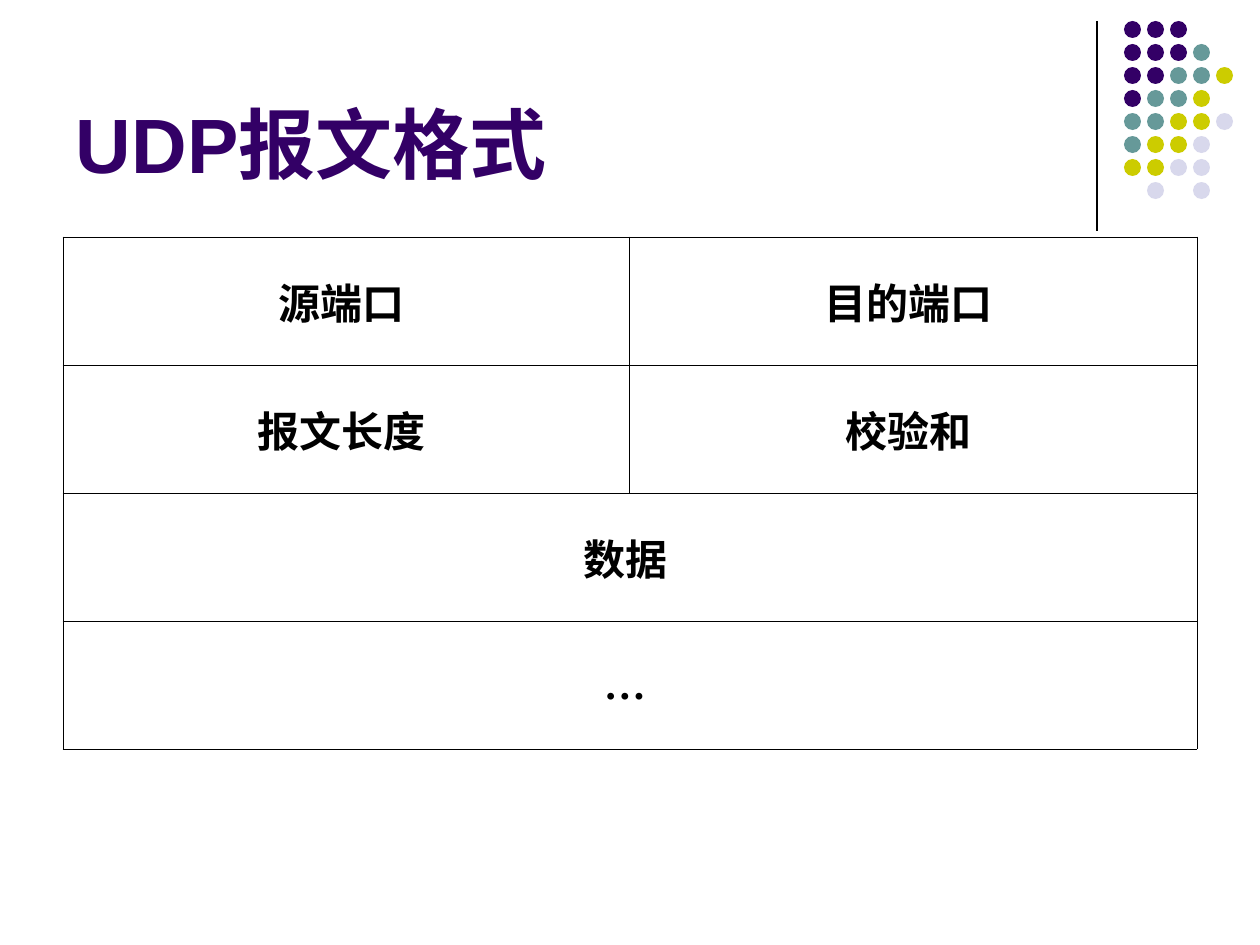
import pptx
import pptx.util
import pptx.dml.color
import pptx.enum.shapes
import pptx.enum.text
import pptx.oxml
import pptx.oxml.ns

EMU_PER_PX = 914400 / 126
INK = "000000"
PURPLE = "330066"
DOT_COLOURS = {"P": PURPLE, "T": "669999", "Y": "CCCC00", "L": "D8D8EC"}
DOT_ROWS = ["PPP", "PPPT", "PPTTY", "PTTY", "TTYYL", "TYYL", "YYLL", " L L"]
UDP_FIELDS = [["源端口 ", "目的端口 "], ["报文长度 ", "校验和 "], ["数据 "], ["… "]]
TITLE_FORMAT = {"name": "Arial", "size": pptx.util.Pt(44), "bold": True}
FIELD_FORMAT = {"name": "Times New Roman", "size": pptx.util.Pt(24), "bold": True}


def px(length):
    return pptx.util.Emu(round(length * EMU_PER_PX))


def colour(code):
    return pptx.dml.color.RGBColor.from_string(code)


def set_all(target, values):
    for attribute, value in values.items():
        setattr(target, attribute, value)


class SlideBuilder:
    def __init__(self, slide):
        self.slide = slide
        self.shapes = slide.shapes
        self.margins = {"margin_top": px(6), "margin_bottom": px(6)}

    def add_words(self, paragraph, words, font_format, ink):
        run = paragraph.add_run()
        run.text = words
        set_all(run.font, font_format)
        run.font.color.rgb = colour(ink)

    def title(self, words, left, top, width, height):
        frame = self.shapes.add_textbox(px(left), px(top), px(width), px(height)).text_frame
        set_all(frame, {**self.margins, "margin_left": px(13), "margin_right": px(13),
                        "word_wrap": True,
                        "vertical_anchor": pptx.enum.text.MSO_ANCHOR.BOTTOM})
        self.add_words(frame.paragraphs[0], words, TITLE_FORMAT, PURPLE)

    def rule(self, x, top, bottom):
        divider = self.shapes.add_connector(
            pptx.enum.shapes.MSO_CONNECTOR.STRAIGHT, px(x), px(top), px(x), px(bottom))
        divider.line.color.rgb = colour(INK)
        divider.line.width = pptx.util.Pt(0.75)
        divider.element.spPr.append(pptx.oxml.parse_xml(
            f'<a:effectLst {pptx.oxml.ns.nsdecls("a")}/>'))

    def dot(self, left, top, size, fill):
        dot = self.shapes.add_shape(
            pptx.enum.shapes.MSO_SHAPE.OVAL, px(left), px(top), px(size), px(size))
        dot.shadow.inherit = False
        dot.fill.solid()
        dot.fill.fore_color.rgb = colour(fill)
        dot.line.fill.background()

    def border(self, cell):
        for side in "LRTB":
            cell._tc.get_or_add_tcPr().append(pptx.oxml.parse_xml(
                f'<a:ln{side} {pptx.oxml.ns.nsdecls("a")} w="5715"><a:solidFill>'
                f'<a:srgbClr val="{INK}"/></a:solidFill></a:ln{side}>'))

    def table(self, rows, left, top, widths, row_height):
        table = self.shapes.add_table(
            len(rows), len(widths), px(left), px(top),
            px(sum(widths)), px(row_height * len(rows))).table
        set_all(table, {"first_row": False, "horz_banding": False})
        for column, width in zip(table.columns, widths):
            column.width = px(width)
        for cell in table.iter_cells():
            self.border(cell)
            cell.fill.background()
        for index, fields in enumerate(rows):
            if len(fields) < len(widths):
                table.cell(index, 0).merge(table.cell(index, len(widths) - 1))
            for position, field in enumerate(fields):
                cell = table.cell(index, position)
                set_all(cell, {**self.margins, "margin_left": px(9), "margin_right": px(9),
                               "vertical_anchor": pptx.enum.text.MSO_ANCHOR.MIDDLE})
                paragraph = cell.text_frame.paragraphs[0]
                paragraph.alignment = pptx.enum.text.PP_ALIGN.CENTER
                self.add_words(paragraph, field, FIELD_FORMAT, INK)


def main():
    deck = pptx.Presentation()
    set_all(deck, {"slide_width": px(1260), "slide_height": px(945)})
    builder = SlideBuilder(deck.slides.add_slide(deck.slide_layouts[6]))
    builder.rule(1097, 21, 231)
    for row, pattern in enumerate(DOT_ROWS):
        for column, key in enumerate(pattern):
            if key in DOT_COLOURS:
                builder.dot(1124 + 23 * column, 21 + 23 * row, 17, DOT_COLOURS[key])
    builder.title("UDP报文格式", 63, 16, 1040, 179)
    builder.table(UDP_FIELDS, 63, 237, [566, 568], 128)
    deck.save("out.pptx")


if __name__ == "__main__":
    main()
